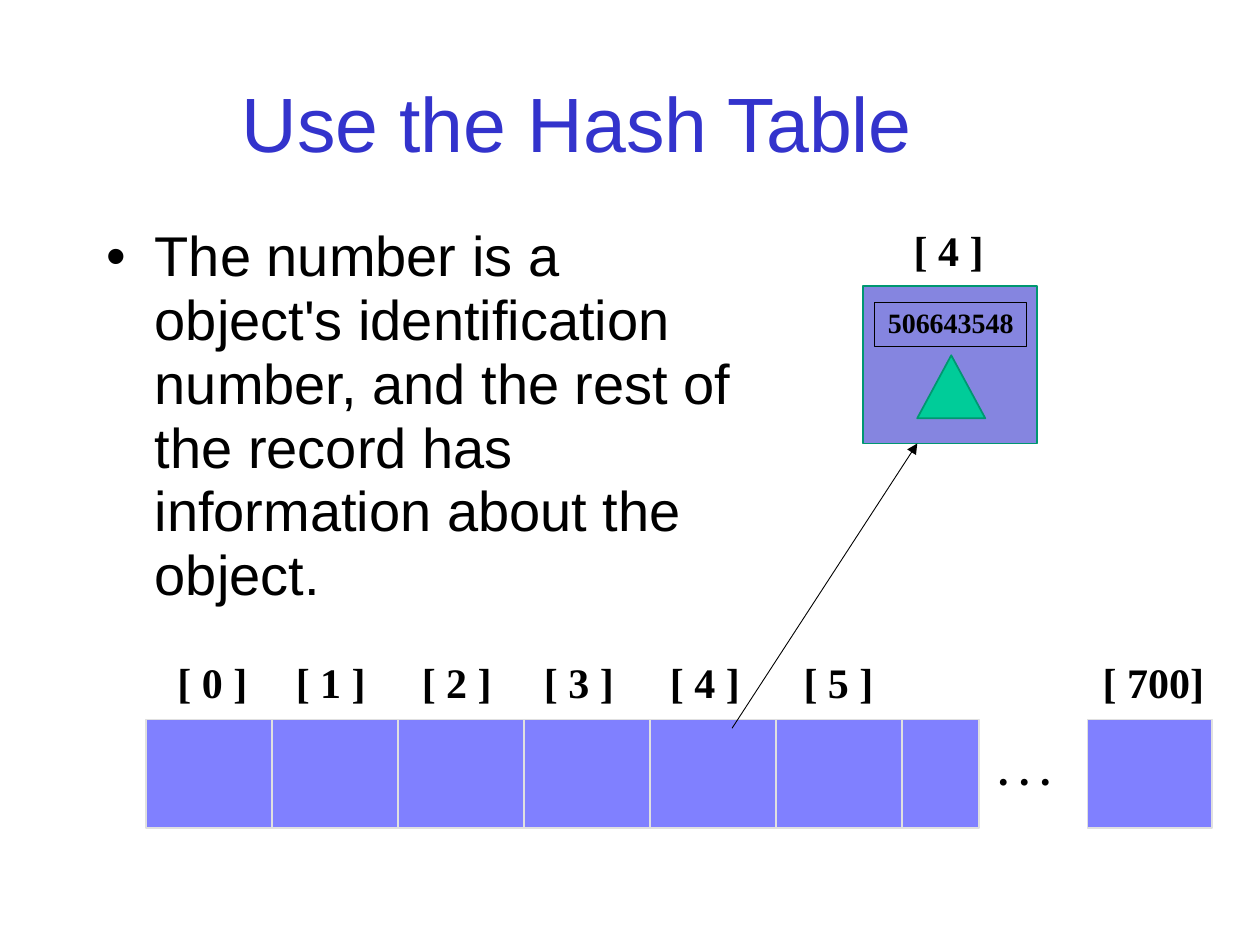
from lxml.etree import SubElement
from pptx import Presentation
from pptx.dml.color import RGBColor
from pptx.enum.shapes import MSO_CONNECTOR as Connector, MSO_SHAPE as Shape
from pptx.enum.text import MSO_ANCHOR as Anchor, MSO_AUTO_SIZE as AutoSize, PP_ALIGN as Align
from pptx.oxml.ns import qn
from pptx.util import Inches, Pt

color = RGBColor.from_string
presentation = Presentation()
presentation.slide_width = Inches(10)
presentation.slide_height = Inches(7.5)
slide = presentation.slides.add_slide(presentation.slide_layouts[6])


def add_box(kind, box, fill, line, line_width=1):
    shape = slide.shapes.add_shape(kind, *map(Inches, box))
    shape.shadow.inherit = False
    if fill:
        shape.fill.solid()
        shape.fill.fore_color.rgb = color(fill)
    else:
        shape.fill.background()
    shape.line.color.rgb = color(line)
    shape.line.width = Pt(line_width)
    return shape


def add_text(box, text, size, font="Times New Roman", ink="000000", bold=True,
             align=Align.CENTER, spacing=0.93, wrap=False, shape=None):
    shape = shape or slide.shapes.add_textbox(*map(Inches, box))
    frame = shape.text_frame
    frame.word_wrap = wrap
    frame.auto_size = AutoSize.NONE
    frame.vertical_anchor = Anchor.TOP
    paragraph = frame.paragraphs[0]
    paragraph.alignment = align
    paragraph.line_spacing = spacing
    run = paragraph.add_run()
    run.text = text
    run.font.size = Pt(size)
    run.font.name = font
    run.font.bold = bold
    run.font.color.rgb = color(ink)
    return frame


record = (6.85, 2.27, 1.38, 1.25)
add_box(Shape.RECTANGLE, record, "8585E0", "009771")

title = add_text((0.33, 0.38, 8.5, 1.25), "Use the Hash Table", 44, "Arial", "3333CC",
                 bold=False, spacing=0.95, wrap=True)
title.vertical_anchor = Anchor.MIDDLE

body = add_text((0.75, 1.74, 5.19, 3.18),
                "The number is a object's identification number, and the rest of "
                "the record has information about the object.",
                32, "Arial", bold=False, align=Align.LEFT, spacing=0.95, wrap=True)
body.paragraphs[0].space_before = Pt(7)
properties = body.paragraphs[0]._p.get_or_add_pPr()
properties.set("marL", str(Inches(0.38)))
properties.set("indent", str(-Inches(0.38)))
SubElement(properties, qn("a:buFont"), typeface="Arial")
SubElement(properties, qn("a:buChar"), char="•")

table_left, table_top, cell_width, cell_height = 1.16, 5.71, 1, 0.86
table_bottom = table_top + cell_height
add_box(Shape.RECTANGLE, (table_left, table_top, 6.61, cell_height), "8080FF", "E0E0E0")
add_box(Shape.RECTANGLE, (8.63, table_top, 0.99, cell_height), "8080FF", "E0E0E0")

lines = []
for column in range(1, 7):
    x = table_left + column * cell_width
    lines.append((x, table_top, x, table_bottom, "E0E0E0", 1))
lines.append((5.81, 5.78, 7.28, record[1] + record[3], "000000", 0.5))

for index, left in enumerate((1.29, 2.23, 3.23, 4.2, 5.2, 6.26)):
    add_text((left, 5.2, 0.79, 0.5), f"[ {index} ]", 24)
add_text((8.62, 5.2, 1.07, 0.5), "[ 700]", 24)
add_text((7.8, 5.89, 0.66, 0.5), ". . .", 24)
add_text((7.13, 1.77, 0.8, 0.5), "[ 4 ]", 24)

key = (6.94, 2.4, 1.21, 0.35)
key_box = add_box(Shape.RECTANGLE, key, None, "000000", 0.75)
add_text(key, "506643548", 16, shape=key_box)
add_box(Shape.ISOSCELES_TRIANGLE, (7.28, 2.82, 0.54, 0.5), "00CC99", "009771")

for *ends, ink, width in lines:
    connector = slide.shapes.add_connector(Connector.STRAIGHT, *map(Inches, ends))
    connector.line.color.rgb = color(ink)
    connector.line.width = Pt(width)
    SubElement(connector._element.spPr, qn("a:effectLst"))
SubElement(connector.line._get_or_add_ln(), qn("a:tailEnd"), type="triangle")

presentation.save("out.pptx")
